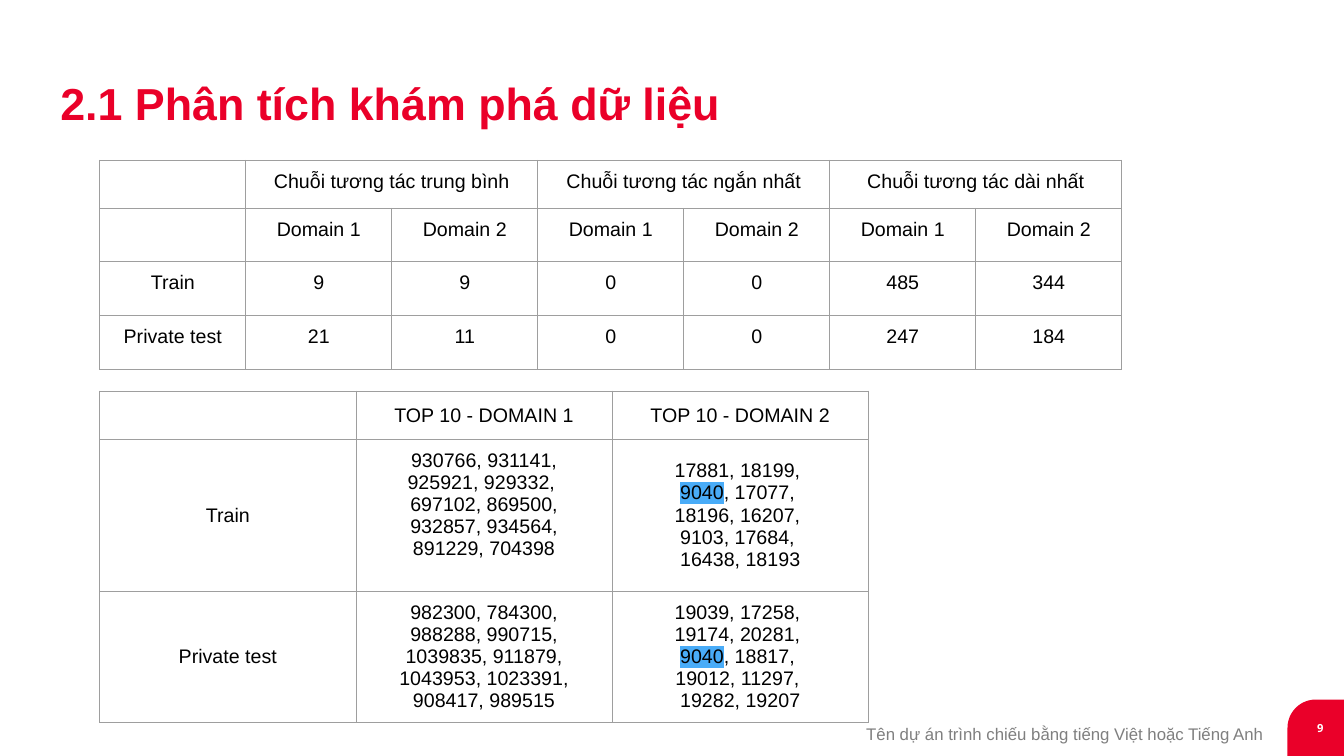
from dataclasses import dataclass

from lxml.etree import SubElement
from pptx import Presentation
from pptx.dml.color import RGBColor
from pptx.enum.shapes import MSO_SHAPE as Preset
from pptx.enum.text import MSO_ANCHOR as Anchor, PP_ALIGN as Align
from pptx.oxml.ns import qn
from pptx.util import Pt

RED = RGBColor(0xEA, 0x00, 0x29)
WHITE = RGBColor(0xFF, 0xFF, 0xFF)
BLACK = RGBColor(0x00, 0x00, 0x00)
GRAY = RGBColor(0x7F, 0x7F, 0x7F)
BORDER = RGBColor(0x9E, 0x9E, 0x9E)
HIGHLIGHT = RGBColor(0x49, 0xAC, 0xF8)

SHARED_ITEM = "9040"
SIDE_MARGIN = 7.2
LINE_HEIGHT = 15.7


@dataclass(frozen=True)
class Label:
    text: str
    left: float
    top: float
    width: float
    height: float
    size: float
    color: RGBColor
    font: str = "Arial"
    bold: bool = False
    align: Align = Align.LEFT
    anchor: Anchor = Anchor.TOP
    spacing: float = 1.0
    margins: tuple[float, float, float, float] = (7.2, 3.6, 7.2, 3.6)


@dataclass(frozen=True)
class Grid:
    left: float
    top: float
    column_width: float
    row_heights: tuple[float, ...]
    rows: tuple[tuple[str, ...], ...]
    anchor: Anchor
    vertical_margin: float
    paired_header: bool = False


LABELS = (
    Label("9", 921.6, 507.6, 43.2, 25.2, 8, WHITE, font="Open Sans",
          bold=True, align=Align.CENTER, anchor=Anchor.MIDDLE),
    Label("Tên dự án trình chiếu bằng tiếng Việt hoặc Tiếng Anh",
          532.8, 509.8, 387.2, 22.3, 12, GRAY, align=Align.RIGHT,
          spacing=1.3, margins=(0, 2.9, 17.3, 2.9)),
    Label("2.1 Phân tích khám phá dữ liệu", 36, 54.7, 673.9, 53.3, 32, RED,
          bold=True, spacing=0.9),
)

TOP_ITEMS = Grid(
    71.3, 279.4, 183, (34.3, 108.6, 93.6),
    (
        ("", "TOP 10 - DOMAIN 1", "TOP 10 - DOMAIN 2"),
        (
            "Train",
            "930766, 931141,\n925921, 929332, \n697102, 869500,\n"
            "932857, 934564,\n891229, 704398",
            "17881, 18199, \n9040, 17077, \n18196, 16207, \n"
            "9103, 17684, \n16438, 18193",
        ),
        (
            "Private test",
            "982300, 784300,\n988288, 990715,\n1039835, 911879,\n"
            "1043953, 1023391,\n908417, 989515",
            "19039, 17258, \n19174, 20281, \n9040, 18817, \n"
            "19012, 11297, \n19282, 19207",
        ),
    ),
    Anchor.MIDDLE,
    vertical_margin=4,
)

SEQUENCE_LENGTHS = Grid(
    71.3, 114.5, 104.3, (34.3, 38.3, 38.3, 38.3),
    (
        ("", "Chuỗi tương tác trung bình", "", "Chuỗi tương tác ngắn nhất", "",
         "Chuỗi tương tác dài nhất", ""),
        ("",) + ("Domain 1", "Domain 2") * 3,
        ("Train", "9", "9", "0", "0", "485", "344"),
        ("Private test", "21", "11", "0", "0", "247", "184"),
    ),
    Anchor.TOP,
    vertical_margin=7.2,
    paired_header=True,
)


def write_text(frame, text: str, *, size: float, color: RGBColor,
               font: str = "Arial", bold: bool = False,
               align: Align = Align.LEFT, spacing: float = 1.0,
               marked: str = "") -> None:
    for index, line in enumerate(text.split("\n")):
        paragraph = frame.add_paragraph() if index else frame.paragraphs[0]
        paragraph.alignment = align
        paragraph.line_spacing = spacing
        pieces = line.partition(marked) if marked else (line,)
        for piece in filter(None, pieces):
            run = paragraph.add_run()
            run.text = piece
            run.font.size = Pt(size)
            run.font.name = font
            run.font.bold = bold
            run.font.color.rgb = color
            if piece == marked:
                properties = run.font._element
                highlight = SubElement(properties, qn("a:highlight"))
                SubElement(highlight, qn("a:srgbClr"), val=str(HIGHLIGHT))
                properties.find(qn("a:latin")).addprevious(highlight)


def add_label(slide, label: Label) -> None:
    box = slide.shapes.add_textbox(Pt(label.left), Pt(label.top),
                                   Pt(label.width), Pt(label.height))
    frame = box.text_frame
    frame.word_wrap = True
    frame.vertical_anchor = label.anchor
    (frame.margin_left, frame.margin_top, frame.margin_right,
     frame.margin_bottom) = map(Pt, label.margins)
    write_text(frame, label.text, size=label.size, color=label.color,
               font=label.font, bold=label.bold, align=label.align,
               spacing=label.spacing)


def add_borders(cell) -> None:
    properties = cell._tc.get_or_add_tcPr()
    for side in ("a:lnL", "a:lnR", "a:lnT", "a:lnB"):
        line = SubElement(properties, qn(side), w=str(Pt(0.75)))
        fill = SubElement(line, qn("a:solidFill"))
        SubElement(fill, qn("a:srgbClr"), val=str(BORDER))


def add_grid(slide, grid: Grid):
    columns = len(grid.rows[0])
    table = slide.shapes.add_table(
        len(grid.rows), columns, Pt(grid.left), Pt(grid.top),
        Pt(grid.column_width * columns), Pt(sum(grid.row_heights))).table
    table.first_row = False
    table.horz_banding = False
    for column in table.columns:
        column.width = Pt(grid.column_width)
    for row, height in zip(table.rows, grid.row_heights):
        row.height = Pt(height)
    for row_index, texts in enumerate(grid.rows):
        for column_index, text in enumerate(texts):
            cell = table.cell(row_index, column_index)
            add_borders(cell)
            cell.fill.background()
            if text:
                cell.vertical_anchor = grid.anchor
                cell.margin_left = cell.margin_right = Pt(SIDE_MARGIN)
                cell.margin_top = cell.margin_bottom = Pt(grid.vertical_margin)
                write_text(cell.text_frame, text, size=14, color=BLACK,
                           align=Align.CENTER, marked=SHARED_ITEM)
    if grid.paired_header:
        for start in range(1, columns, 2):
            table.cell(0, start).merge(table.cell(0, start + 1))
    return table


def add_page_corner(slide) -> None:
    corner = slide.shapes.add_shape(Preset.ROUND_1_RECTANGLE, Pt(919.7),
                                    Pt(499.7), Pt(40.3), Pt(40.3))
    corner.adjustments[0] = 0.5
    corner.shadow.inherit = False
    corner.fill.solid()
    corner.fill.fore_color.rgb = RED
    corner.line.fill.background()
    corner._element.spPr.find(qn("a:xfrm")).set("flipH", "1")


def main() -> None:
    deck = Presentation()
    deck.slide_width, deck.slide_height = Pt(960), Pt(540)
    slide = deck.slides.add_slide(deck.slide_layouts[6])
    add_page_corner(slide)
    for label in LABELS:
        add_label(slide, label)
    top_items = add_grid(slide, TOP_ITEMS)
    top_items.cell(1, 1).margin_bottom = Pt(
        TOP_ITEMS.vertical_margin + LINE_HEIGHT)
    add_grid(slide, SEQUENCE_LENGTHS)
    deck.save("out.pptx")


if __name__ == "__main__":
    main()
